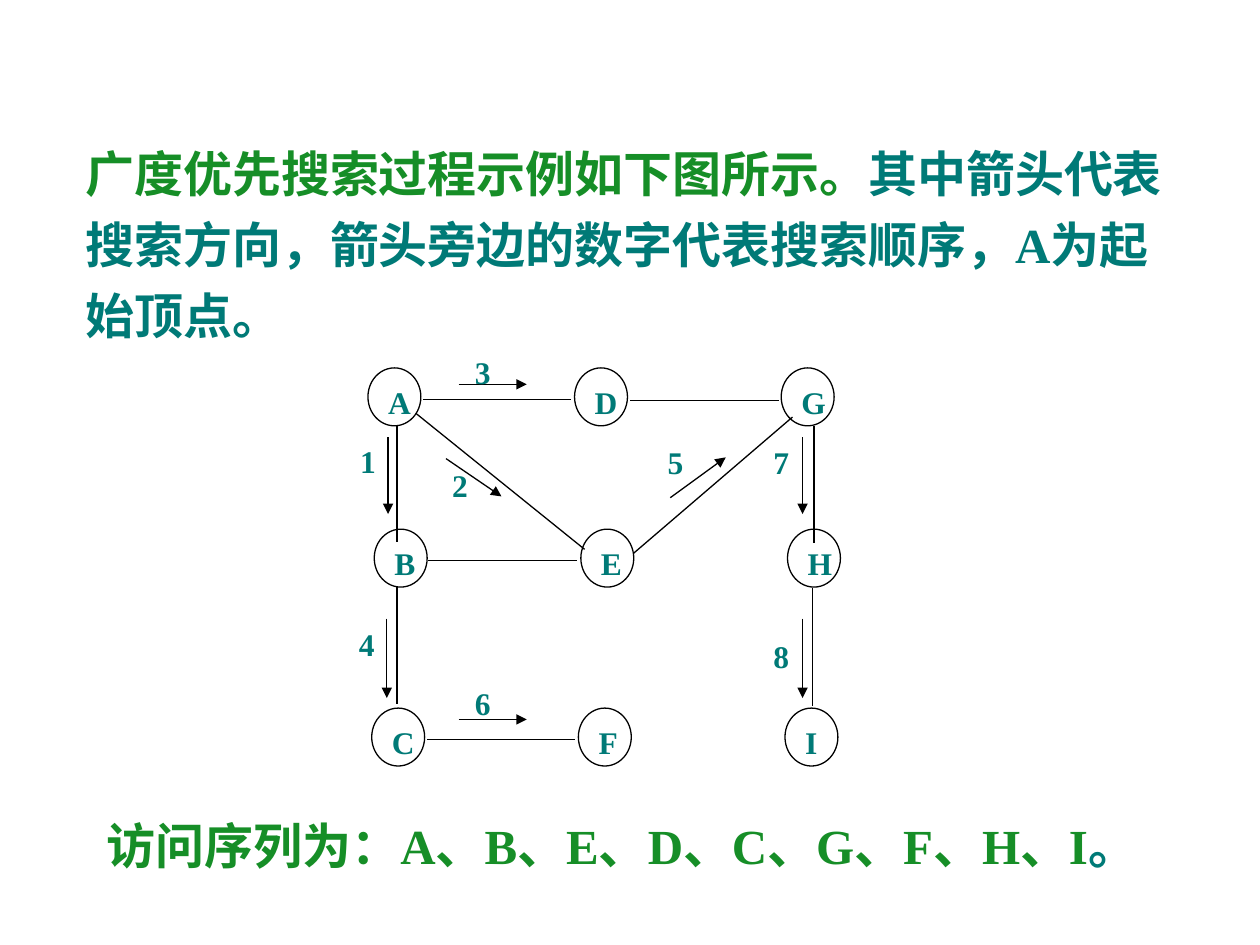
from lxml.etree import SubElement
from pptx import Presentation
from pptx.dml.color import RGBColor
from pptx.enum.shapes import MSO_CONNECTOR, MSO_SHAPE
from pptx.enum.text import MSO_ANCHOR, MSO_AUTO_SIZE, PP_ALIGN
from pptx.oxml.ns import qn
from pptx.util import Pt

PX = 9144  # EMU per px, 100 px to the inch
FONT = "Times New Roman"
COLORS = {"green": "168E27", "teal": "007A77", "line": "000000", "node": "FFFFFF"}

NODE_WIDTH, NODE_HEIGHT, COLUMN_STEP = 42, 46, 164
# Left, top and letters of each row; a space leaves a column empty
NODE_ROWS = [(292, 292, "ADG"), (297, 420, "BEH"), (295, 562, "CFI")]

EDGES = [
    (336, 317, 453, 317),  # A-D
    (500, 318, 618, 318),  # D-G
    (340, 445, 458, 445),  # B-E
    (315, 337, 315, 430),  # A-B
    (646, 338, 646, 431),  # G-H
    (339, 587, 456, 587),  # C-F
    (315, 466, 315, 559),  # B-C
    (645, 467, 645, 560),  # H-I
    (503, 439, 629, 331),  # E-G
    (330, 328, 464, 436),  # A-E
]

# Search order: arrow from and to, then left and top of its number
STEPS = [
    ((308, 347, 308, 408), (276, 346)),
    ((354, 364, 398, 394), (349, 365)),
    ((364, 305, 418, 305), (367, 275)),
    ((307, 491, 307, 554), (275, 491)),
    ((532, 395, 576, 363), (520, 347)),
    ((364, 571, 418, 571), (367, 538)),
    ((637, 347, 637, 408), (604, 347)),
    ((637, 491, 637, 554), (604, 501)),
]


def px(*lengths):
    return [length * PX for length in lengths]


def color(name):
    return RGBColor.from_string(COLORS[name])


def set_font(font, size):
    font.name, font.size, font.bold = FONT, Pt(size), True


def add_passage(shapes, box, runs, line_spacing=None):
    text_frame = shapes.add_textbox(*px(*box)).text_frame
    text_frame.word_wrap = True
    text_frame.auto_size = MSO_AUTO_SIZE.SHAPE_TO_FIT_TEXT
    paragraph = text_frame.paragraphs[0]
    paragraph.line_spacing = line_spacing
    set_font(paragraph.font, 28)
    for text, color_name in runs:
        run = paragraph.add_run()
        run.text = text
        set_font(run.font, 28)
        run.font.color.rgb = color(color_name)


def write_label(shape, text):
    text_frame = shape.text_frame
    text_frame.word_wrap = True
    text_frame.vertical_anchor = MSO_ANCHOR.TOP
    paragraph = text_frame.paragraphs[0]
    paragraph.text = text
    paragraph.alignment = PP_ALIGN.JUSTIFY
    set_font(paragraph.font, 18)
    paragraph.font.color.rgb = color("teal")


def add_node(shapes, left, top, letter):
    node = shapes.add_shape(MSO_SHAPE.OVAL, *px(left, top, NODE_WIDTH, NODE_HEIGHT))
    node.shadow.inherit = False
    node.fill.solid()
    node.fill.fore_color.rgb = color("node")
    node.line.color.rgb = color("line")
    node.line.width = Pt(0.75)
    write_label(node, letter)


def add_line(shapes, ends, arrow=False):
    connector = shapes.add_connector(MSO_CONNECTOR.STRAIGHT, *px(*ends))
    connector.line.color.rgb = color("line")
    connector.line.width = Pt(0.75)
    if arrow:
        SubElement(connector.line._get_or_add_ln(), qn("a:tailEnd"), type="triangle")
    SubElement(connector._element.spPr, qn("a:effectLst"))


def add_number(shapes, left, top, number):
    box = shapes.add_textbox(*px(left, top, NODE_WIDTH, NODE_HEIGHT))
    write_label(box, str(number))


def add_graph(shapes):
    for left, top, letters in NODE_ROWS:
        for column, letter in enumerate(letters):
            add_node(shapes, left + column * COLUMN_STEP, top, letter)
    for ends in EDGES:
        add_line(shapes, ends)
    for number, (ends, (left, top)) in enumerate(STEPS, start=1):
        add_line(shapes, ends, arrow=True)
        add_number(shapes, left, top, number)


def main():
    presentation = Presentation()
    presentation.slide_width, presentation.slide_height = px(1000, 750)
    slide = presentation.slides.add_slide(presentation.slide_layouts[6])

    # Introduction
    add_passage(slide.shapes, (58, 100, 900, 178), [
        ("广度优先搜索过程示例如下图所示。", "green"),
        ("其中箭头代表搜索方向，箭头旁边的数字代表搜索顺序，A为起始顶点。", "teal"),
    ], line_spacing=1.2)

    # Graph with search steps
    add_graph(slide.shapes.add_group_shape().shapes)

    # Visiting sequence
    add_passage(slide.shapes, (75, 642, 883, 104), [
        ("访问序列为：A、B、E、D、C、G、F、H、I", "green"),
        ("。", "teal"),
    ])

    presentation.save("out.pptx")


if __name__ == "__main__":
    main()
